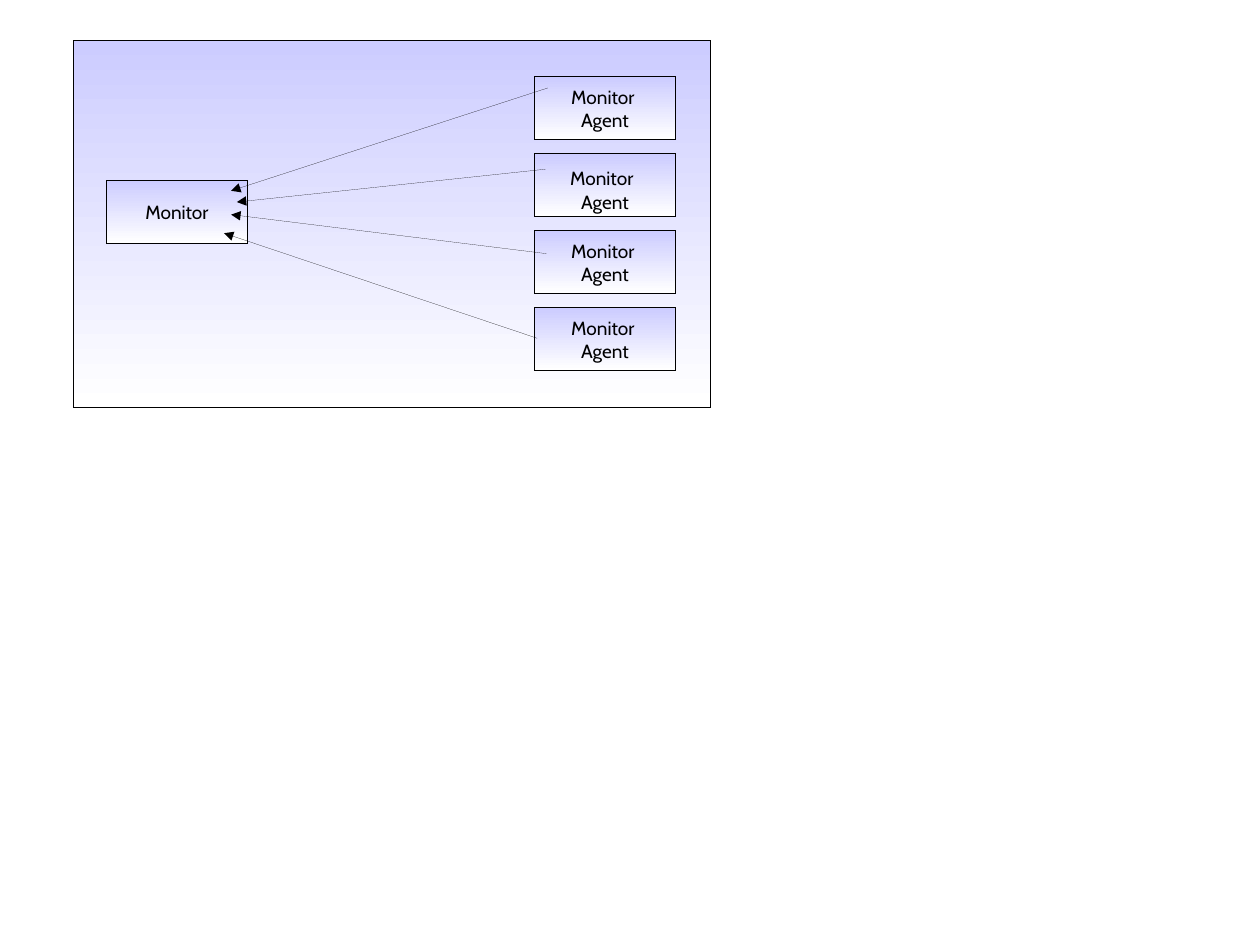
import pptx
import pptx.util
import pptx.dml.color
import pptx.enum.shapes
import pptx.enum.text
import pptx.oxml
import pptx.oxml.ns

Pt = pptx.util.Pt
FONT = "Cabin"
BLACK = "000000"
GRADIENT = ("CCCCFF", "FFFFFF")

SLIDE_SIZE = (793.7, 595.28)
FRAME = (46.2, 25.5, 401.5, 231.5)
BOX_SIZE = (89.3, 39.7)
MONITOR_AT = (66.9, 113.6)
AGENTS_AT = (336.5, 48.2)
AGENT_PITCH = 48.5

MONITOR_TEXT = [[("Monitor", 12)]]
AGENT_TEXT = [[("Monitor ", 12)], [("Agent", 12)]]
SPACED_TEXT = [[("Monitor", 12), (" ", 18)], [("Agent", 12)]]
AGENTS = [AGENT_TEXT, SPACED_TEXT, AGENT_TEXT, AGENT_TEXT]

ARROWS = [
    ((338.4, 213.1), (141.1, 146.9)),
    ((344.4, 159.8), (145.6, 135.2)),
    ((343.6, 106.6), (149.2, 127.3)),
    ((345.1, 55.4), (145.6, 120.2)),
]


def color(value):
    return pptx.dml.color.RGBColor.from_string(value)


def add_hairline(shape):
    shape.line.fill.solid()
    shape.line.fill.fore_color.rgb = color(BLACK)
    outline = shape._element.spPr.find(pptx.oxml.ns.qn("a:ln"))
    outline.set("w", "0")
    return outline


def add_element(parent, name):
    element = pptx.oxml.parse_xml(f"<a:{name} {pptx.oxml.ns.nsdecls('a')}/>")
    parent.append(element)
    return element


def add_box(page, left, top, width, height, lines=()):
    box = page.shapes.add_shape(
        pptx.enum.shapes.MSO_SHAPE.RECTANGLE,
        Pt(left), Pt(top), Pt(width), Pt(height))
    box.shadow.inherit = False
    box.fill.gradient()
    box.fill.gradient_angle = 270
    for stop, shade in zip(box.fill.gradient_stops, GRADIENT):
        stop.color.rgb = color(shade)
    add_hairline(box)
    frame = box.text_frame
    frame.word_wrap = True
    frame.vertical_anchor = pptx.enum.text.MSO_ANCHOR.MIDDLE
    for index, spans in enumerate(lines):
        para = frame.add_paragraph() if index else frame.paragraphs[0]
        para.alignment = pptx.enum.text.PP_ALIGN.CENTER
        for text, size in spans:
            span = para.add_run()
            span.text = text
            span.font.name = FONT
            span.font.size = Pt(size)
            span.font.color.rgb = color(BLACK)


def add_arrow(page, start, end):
    arrow = page.shapes.add_connector(
        pptx.enum.shapes.MSO_CONNECTOR.STRAIGHT,
        *[Pt(value) for value in start + end])
    outline = add_hairline(arrow)
    add_element(outline, "tailEnd").set("type", "triangle")
    add_element(arrow._element.spPr, "effectLst")


def main():
    deck = pptx.Presentation()
    deck.slide_width, deck.slide_height = [Pt(value) for value in SLIDE_SIZE]
    page = deck.slides.add_slide(deck.slide_layouts[6])
    add_box(page, *FRAME)
    add_box(page, *MONITOR_AT, *BOX_SIZE, MONITOR_TEXT)
    left, top = AGENTS_AT
    for row, lines in enumerate(AGENTS):
        add_box(page, left, top + row * AGENT_PITCH, *BOX_SIZE, lines)
    for start, end in ARROWS:
        add_arrow(page, start, end)
    deck.save("out.pptx")


if __name__ == "__main__":
    main()
